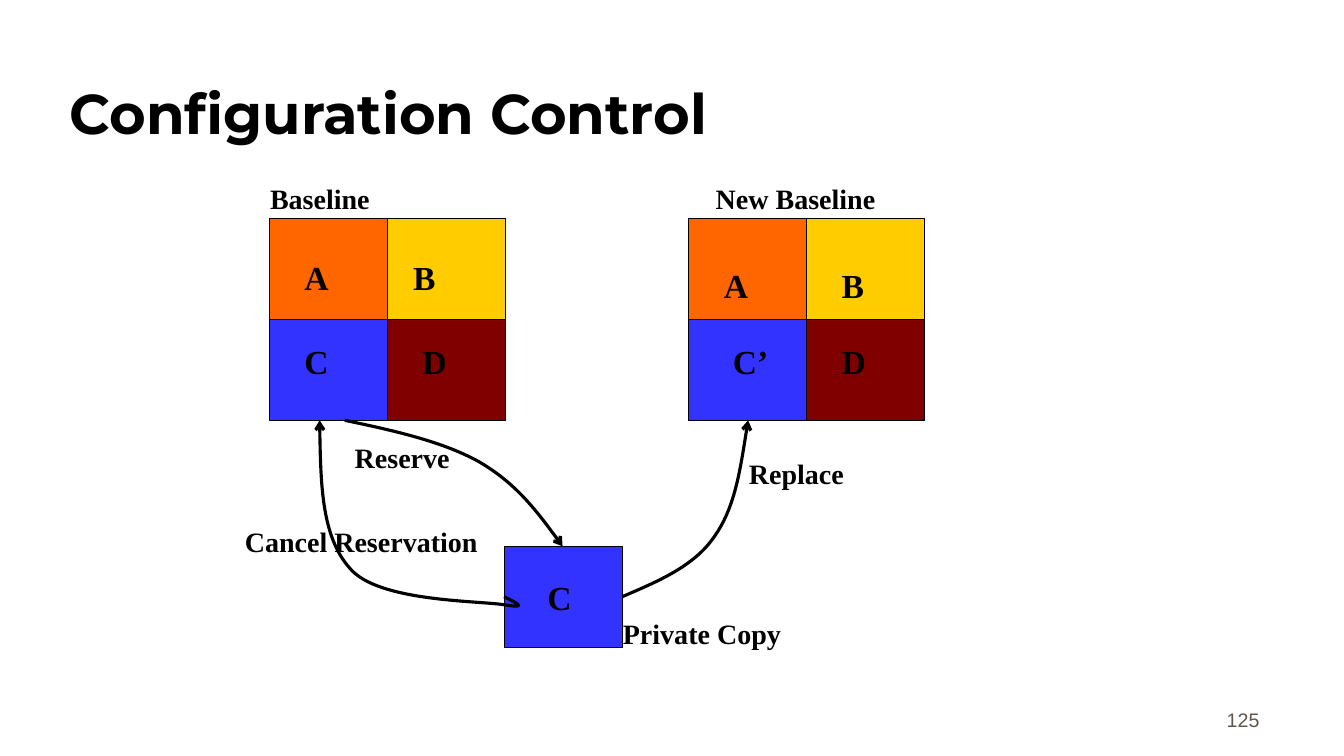
from lxml.etree import SubElement
from pptx import Presentation
from pptx.dml.color import RGBColor
from pptx.enum.shapes import MSO_SHAPE as Shape
from pptx.enum.text import MSO_ANCHOR as Anchor, PP_ALIGN as Align
from pptx.oxml.ns import qn
from pptx.util import Inches, Pt

COLORS = {
    "ink": "000000", "number": "5E574E", "orange": "FF6600",
    "yellow": "FFCC00", "blue": "3333FF", "maroon": "800000",
}
CELL_WIDTH, CELL_HEIGHT = 1.17, 1
CELL_FILLS = ["orange", "yellow", "blue", "maroon"]
SERIF = "Times New Roman"


def rgb(name):
    """Look up a palette colour."""
    return RGBColor.from_string(COLORS[name])


def write(frame, text, font=SERIF, size=20, color="ink", bold=True,
          align=Align.LEFT, anchor=Anchor.TOP):
    """Put formatted text in a text frame."""
    frame.word_wrap = True
    frame.vertical_anchor = anchor
    paragraph = frame.paragraphs[0]
    paragraph.alignment = align
    run = paragraph.add_run()
    run.text = text
    run.font.name = font
    run.font.size = Pt(size)
    run.font.bold = bold
    run.font.color.rgb = rgb(color)


def add_label(slide, text, left, top, width=3.17, height=0.43, **text_format):
    """Add a text box with one line of text."""
    box = slide.shapes.add_textbox(*map(Inches, (left, top, width, height)))
    write(box.text_frame, text, **text_format)


def add_title(slide, text, left, top, width, height):
    """Place and fill the title placeholder."""
    title = slide.shapes.title
    title.left, title.top = Inches(left), Inches(top)
    title.width, title.height = Inches(width), Inches(height)
    write(title.text_frame, text, font="Montserrat", size=40, anchor=Anchor.BOTTOM)


def add_cell(slide, text, fill, left, top, inset):
    """Draw one configuration item with its letter at an inset."""
    cell = slide.shapes.add_shape(
        Shape.RECTANGLE, *map(Inches, (left, top, CELL_WIDTH, CELL_HEIGHT)))
    cell.shadow.inherit = False
    cell.fill.solid()
    cell.fill.fore_color.rgb = rgb(fill)
    cell.line.color.rgb = rgb("ink")
    cell.line.width = Pt(0.75)
    add_label(slide, text, left + inset[0], top + inset[1], 0.75, 0.5, size=24)


def add_baseline(slide, heading, heading_inset, items, left, top):
    """Draw a two by two grid of items under a heading."""
    for index, (text, inset) in enumerate(items):
        row, column = divmod(index, 2)
        add_cell(slide, text, CELL_FILLS[index], left + column * CELL_WIDTH,
                 top + row * CELL_HEIGHT, inset)
    add_label(slide, heading, left + heading_inset, top - 0.42)


def add_curved_arrow(slide, points):
    """Draw an arrow along cubic curves, three points to each curve."""
    start, *others = [(Inches(x), Inches(y)) for x, y in points]
    builder = slide.shapes.build_freeform(*start)
    builder.add_line_segments(others, close=False)
    arrow = builder.convert_to_shape()
    arrow.shadow.inherit = False
    arrow.fill.background()
    arrow.line.color.rgb = rgb("ink")
    arrow.line.width = Pt(2.25)
    SubElement(arrow.line._get_or_add_ln(), qn("a:tailEnd"), type="arrow")

    outline = next(arrow._element.iter(qn("a:path")))
    segments = outline.findall(qn("a:lnTo"))
    for first in range(0, len(segments), 3):
        curve = SubElement(outline, qn("a:cubicBezTo"))
        for segment in segments[first:first + 3]:
            curve.append(segment[0])
            outline.remove(segment)


def add_flow(slide, left, top):
    """Draw the private copy, its arrows and their names."""
    add_cell(slide, "C", "blue", left + 2.67, top + 1.25, (0.33, 0.25))
    curves = [
        [(1.09, 0), (1.57, 0.1), (2.06, 0.21), (2.42, 0.41),
         (2.78, 0.62), (3.02, 0.93), (3.25, 1.25)],
        [(2.67, 1.75), (2.79, 1.81), (2.92, 1.87), (2.67, 1.83),
         (2.42, 1.79), (1.48, 1.8), (1.17, 1.5),
         (0.86, 1.19), (0.85, 0.59), (0.84, 0)],
        [(3.84, 1.75), (4.19, 1.6), (4.55, 1.45), (4.75, 1.16),
         (4.96, 0.87), (5.02, 0.43), (5.09, 0)],
    ]
    for curve in curves:
        add_curved_arrow(slide, [(left + x, top + y) for x, y in curve])
    names = [("Reserve", 1.09, 0.15), ("Cancel Reservation", 0, 0.98),
             ("Replace", 5, 0.31), ("Private Copy", 3.75, 1.9)]
    for text, x, y in names:
        add_label(slide, text, left + x, top + y)


def main():
    """Build and save the slide."""
    presentation = Presentation()
    presentation.slide_width = Inches(13.33)
    presentation.slide_height = Inches(7.5)
    slide = presentation.slides.add_slide(presentation.slide_layouts[5])
    add_title(slide, "Configuration Control", 0.59, 0.25, 11.33, 1.25)
    add_baseline(slide, "Baseline", -0.09,
                 [("A", (0.25, 0.33)), ("B", (0.16, 0.33)),
                  ("C", (0.25, 0.16)), ("D", (0.25, 0.16))], 2.67, 2.17)
    add_baseline(slide, "New Baseline", 0.17,
                 [("A", (0.25, 0.41)), ("B", (0.25, 0.41)),
                  ("C’", (0.34, 0.16)), ("D", (0.25, 0.16))], 6.83, 2.17)
    add_flow(slide, 2.33, 4.17)
    add_label(slide, "125", 9.81, 6.81, 2.78, 0.5, font="Arial", size=14,
              color="number", bold=False, align=Align.RIGHT, anchor=Anchor.BOTTOM)
    presentation.save("out.pptx")


if __name__ == "__main__":
    main()
